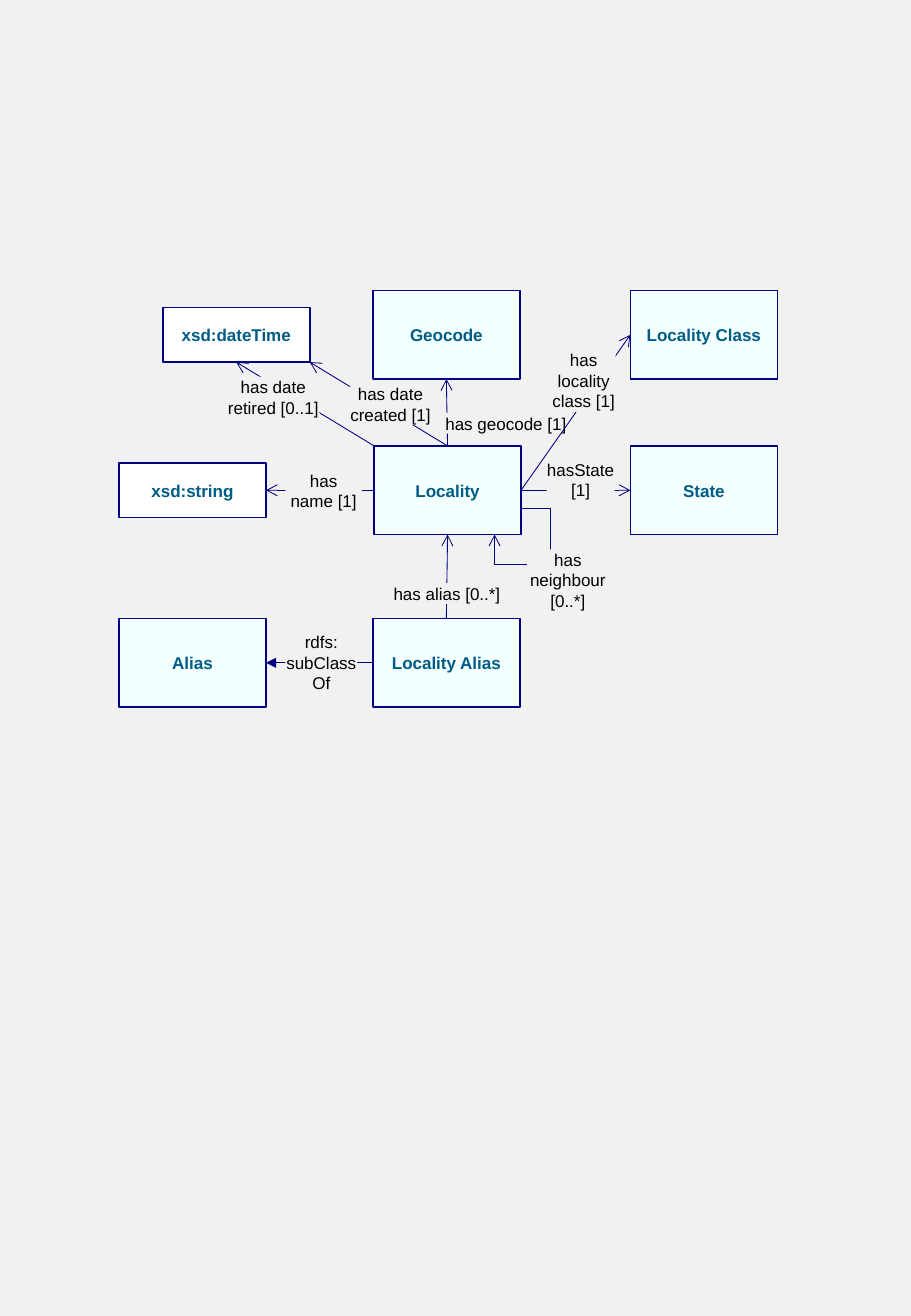
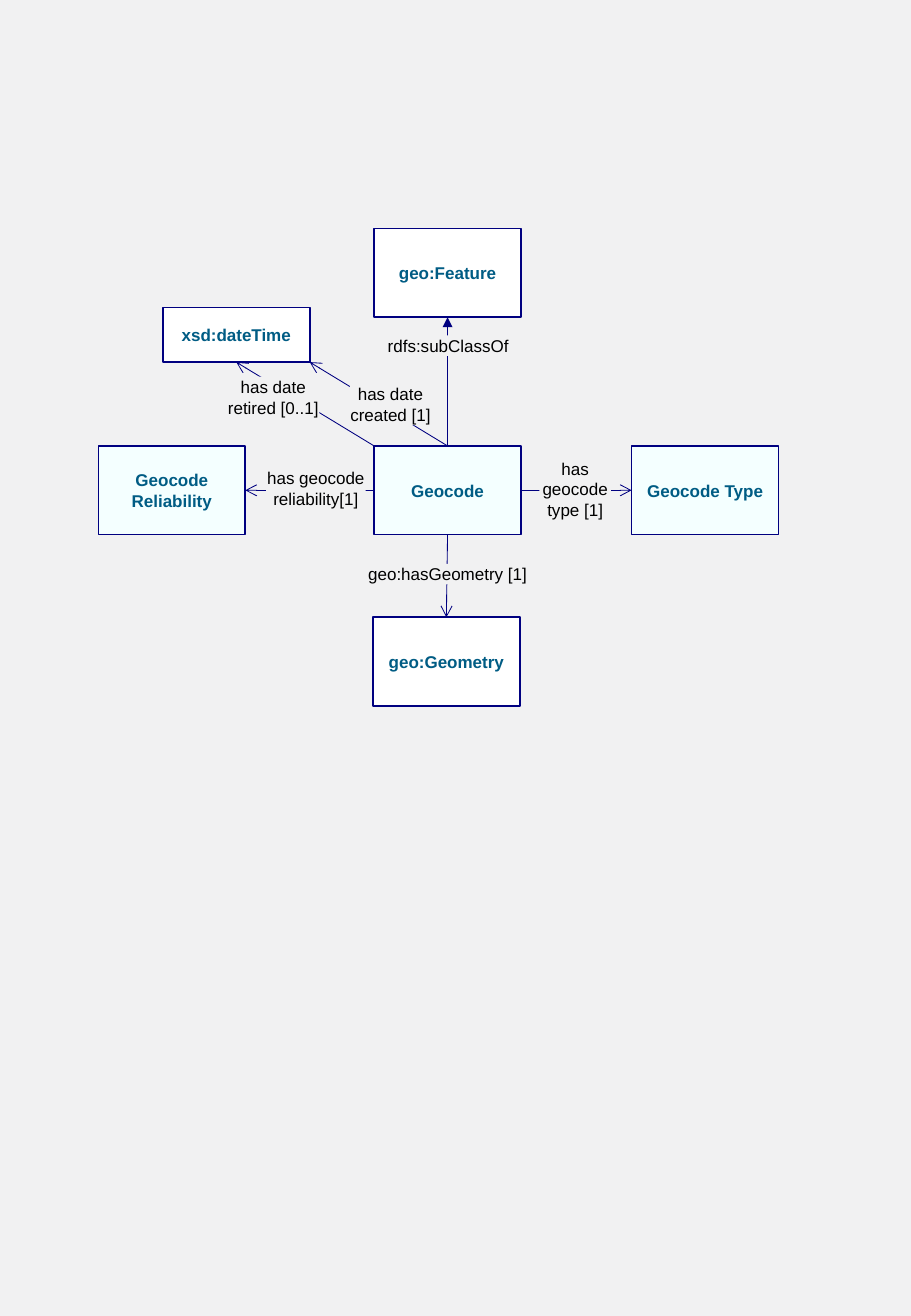
from lxml.etree import SubElement
from pptx import Presentation
from pptx.dml.color import RGBColor
from pptx.enum.shapes import MSO_CONNECTOR, MSO_SHAPE
from pptx.enum.text import PP_ALIGN
from pptx.oxml.ns import qn
from pptx.util import Inches, Pt

COLORS = {
    "background": "F1F1F2",
    "entity": "F4FFFF",
    "external": "FFFFFF",
    "outline": "000080",
    "title": "005C84",
    "label": "000000",
}
FONT, FONT_SIZE = "Arial", 10.1
HUB_LEFT, HUB_TOP = 3.08, 3.67
BOX_WIDTH, BOX_HEIGHT, TYPE_HEIGHT = 1.21, 0.73, 0.45
LINE_HEIGHT = 0.17
LEFT_COLUMN, RIGHT_COLUMN = -2.1, 2.11
UPPER_ROW, LOWER_ROW = -1.28, 1.42
TOP, LEFT, BOTTOM, RIGHT = (0.5, 0), (0, 0.5), (0.5, 1), (1, 0.5)
SITES = [TOP, LEFT, BOTTOM, RIGHT]
TOP_LEFT, BOTTOM_RIGHT = (0, 0), (1, 1)


def color(name):
    """Return a palette colour."""
    return RGBColor.from_string(COLORS[name])


def write(shape, text, color_name, bold=False):
    """Put centred text in a shape."""
    shape.text_frame.text = text
    for paragraph in shape.text_frame.paragraphs:
        paragraph.alignment = PP_ALIGN.CENTER
        paragraph.font.name = FONT
        paragraph.font.size = Pt(FONT_SIZE)
        paragraph.font.bold = bold
        paragraph.font.color.rgb = color(color_name)


def anchor(shape, share):
    """Return the point at a share of the shape's width and height."""
    across, down = share
    return (round(shape.left + across * shape.width),
            round(shape.top + down * shape.height))


class Diagram:
    """Draw entities and relations at offsets in inches from the hub's corner."""

    def __init__(self, slide, left, top):
        """Keep the slide and the hub's corner, and paint the background."""
        self.shapes, self.left, self.top = slide.shapes, left, top
        slide.background.fill.solid()
        slide.background.fill.fore_color.rgb = color("background")

    def place(self, x, y, width, height):
        """Turn a box relative to the hub into slide lengths."""
        return [Inches(value) for value in (self.left + x, self.top + y, width, height)]

    def entity(self, text, x, y, fill="entity", height=BOX_HEIGHT):
        """Draw an outlined box with a bold name."""
        shape = self.shapes.add_shape(
            MSO_SHAPE.RECTANGLE, *self.place(x, y, BOX_WIDTH, height))
        shape.shadow.inherit = False
        shape.fill.solid()
        shape.fill.fore_color.rgb = color(fill)
        shape.line.color.rgb = color("outline")
        shape.line.width = Pt(1)
        write(shape, text, "title", bold=True)
        return shape

    def label(self, text, x, y, width):
        """Draw a caption that masks the line behind it."""
        lines = len(text.splitlines())
        shape = self.shapes.add_textbox(*self.place(x, y, width, lines * LINE_HEIGHT))
        shape.fill.solid()
        shape.fill.fore_color.rgb = color("background")
        frame = shape.text_frame
        frame.margin_left = frame.margin_right = frame.margin_top = frame.margin_bottom = 0
        frame.word_wrap = False
        write(shape, text, "label")

    def arrow(self, source, start, target, end, head="arrow", bends=None):
        """Draw an arrow between two boxes, glued where it meets a side's middle."""
        kind = MSO_CONNECTOR.ELBOW if bends else MSO_CONNECTOR.STRAIGHT
        connector = self.shapes.add_connector(
            kind, *anchor(source, start), *anchor(target, end))
        if start in SITES:
            connector.begin_connect(source, SITES.index(start))
        if end in SITES:
            connector.end_connect(target, SITES.index(end))
        connector.line.color.rgb = color("outline")
        connector.line.width = Pt(0.5)
        properties = connector.element.spPr
        SubElement(properties.find(qn("a:ln")), qn("a:tailEnd"), type=head)
        SubElement(properties, qn("a:effectLst"))
        if bends:
            geometry = properties.find(qn("a:prstGeom"))
            geometry.set("prst", "bentConnector4")
            adjustments = geometry.find(qn("a:avLst"))
            for number, bend in enumerate(bends, 1):
                SubElement(adjustments, qn("a:gd"), name=f"adj{number}",
                           fmla=f"val {round(bend * 100000)}")

    def dated_hub(self, text):
        """Draw the central entity with its two date relations."""
        hub = self.entity(text, 0, 0)
        date_time = self.entity("xsd:dateTime", -1.74, -1.14, "external", TYPE_HEIGHT)
        self.arrow(hub, TOP_LEFT, date_time, BOTTOM)
        self.arrow(hub, TOP, date_time, BOTTOM_RIGHT)
        self.label("has date\vretired [0..1]", -1.21, -0.57, 0.76)
        self.label("has date\vcreated [1]", -0.2, -0.51, 0.67)
        return hub


def locality_slide(slide):
    """Draw the locality model."""
    diagram = Diagram(slide, HUB_LEFT, HUB_TOP)
    locality = diagram.dated_hub("Locality")
    name = diagram.entity("xsd:string", LEFT_COLUMN, 0.14, "external", TYPE_HEIGHT)
    geocode = diagram.entity("Geocode", -0.01, UPPER_ROW)
    locality_alias = diagram.entity("Locality Alias", -0.01, LOWER_ROW)
    alias = diagram.entity("Alias", LEFT_COLUMN, LOWER_ROW)
    state = diagram.entity("State", RIGHT_COLUMN, 0)
    locality_class = diagram.entity("Locality Class", RIGHT_COLUMN, UPPER_ROW)

    diagram.arrow(locality, LEFT, name, RIGHT)
    diagram.label("has\vname [1]", -0.73, 0.2, 0.63)
    diagram.arrow(locality, TOP, geocode, BOTTOM)
    diagram.label("has geocode [1]", 0.53, -0.27, 1.11)
    diagram.arrow(locality_alias, TOP, locality, BOTTOM)
    diagram.label("has alias [0..*]", 0.15, 1.13, 0.9)
    diagram.arrow(locality_alias, LEFT, alias, RIGHT, "triangle")
    diagram.label("rdfs:\vsubClass\vOf", -0.73, 1.53, 0.59)
    diagram.arrow(locality, RIGHT, state, LEFT)
    diagram.arrow(locality, (1, 0.71), locality, (0.82, 1), bends=(-1.13, 2.16))
    diagram.label("has\vneighbour\n[0..*]", 1.26, 0.85, 0.67)
    diagram.label("hasState\v[1]", 1.42, 0.11, 0.56)
    diagram.arrow(locality, RIGHT, locality_class, LEFT)
    diagram.label("has\vlocality\vclass [1]", 1.46, -0.79, 0.53)


def geocode_slide(slide):
    """Draw the geocode model."""
    diagram = Diagram(slide, HUB_LEFT, HUB_TOP)
    geocode = diagram.dated_hub("Geocode")
    geocode_type = diagram.entity("Geocode Type", RIGHT_COLUMN + 0.01, 0)
    reliability = diagram.entity("Geocode Reliability", -2.27, 0)
    geometry = diagram.entity("geo:Geometry", -0.01, LOWER_ROW - 0.01, "external")
    feature = diagram.entity("geo:Feature", 0, -1.79, "external")

    diagram.arrow(geocode, RIGHT, geocode_type, LEFT)
    diagram.label("has\ngeocode\vtype [1]", 1.36, 0.1, 0.59)
    diagram.arrow(geocode, LEFT, reliability, RIGHT)
    diagram.label("has geocode\vreliability[1]", -0.89, 0.18, 0.82)
    diagram.arrow(geocode, BOTTOM, geometry, TOP)
    diagram.label("geo:hasGeometry [1]", -0.06, 0.97, 1.33)
    diagram.arrow(geocode, TOP, feature, BOTTOM, "triangle")
    diagram.label("rdfs:subClassOf", 0.1, -0.91, 1.02)


def main():
    """Build and save the presentation."""
    presentation = Presentation()
    presentation.slide_width, presentation.slide_height = Inches(7.5), Inches(10.83)
    blank = presentation.slide_layouts[6]
    for draw in (locality_slide, geocode_slide):
        draw(presentation.slides.add_slide(blank))
    presentation.save("out.pptx")


if __name__ == "__main__":
    main()
